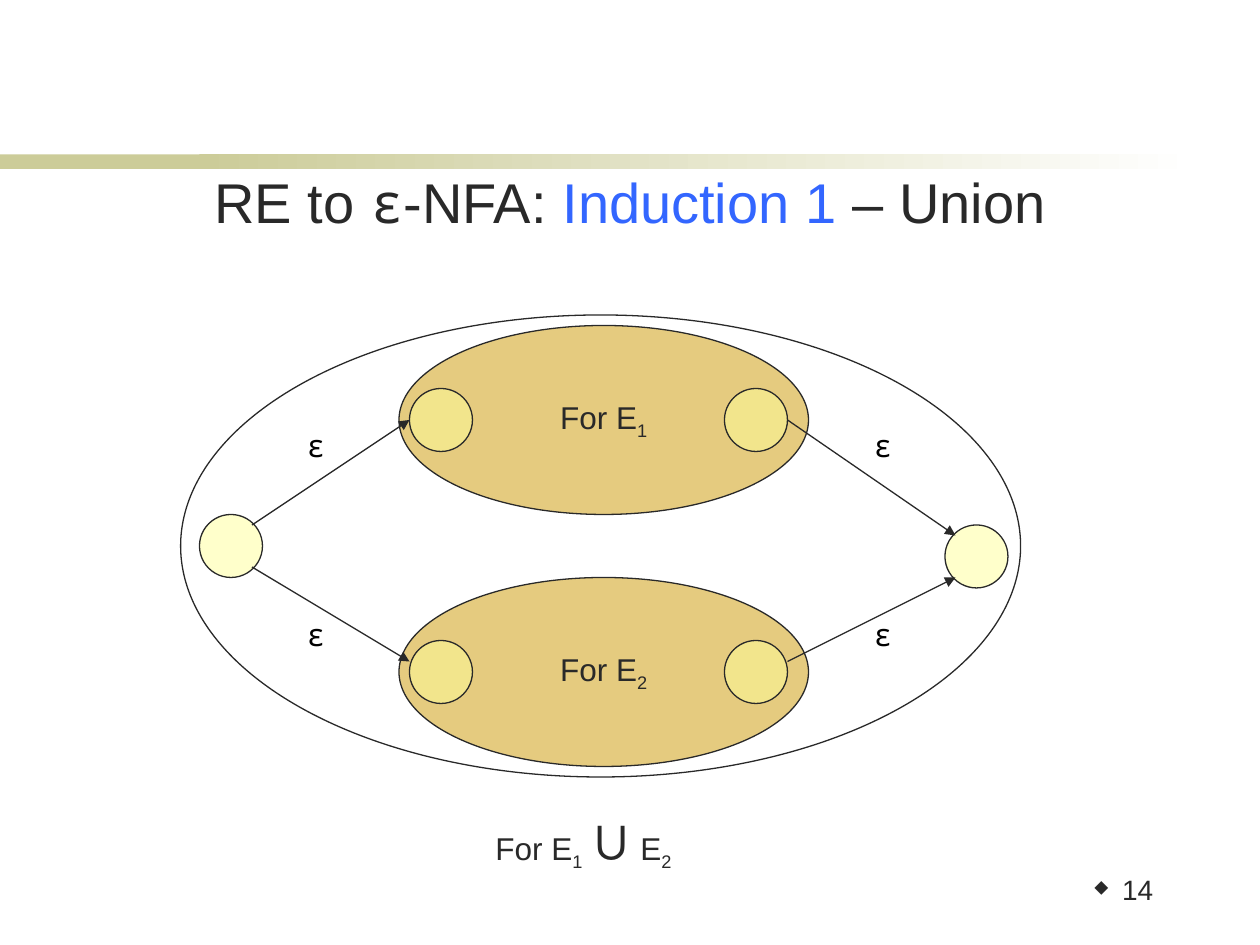
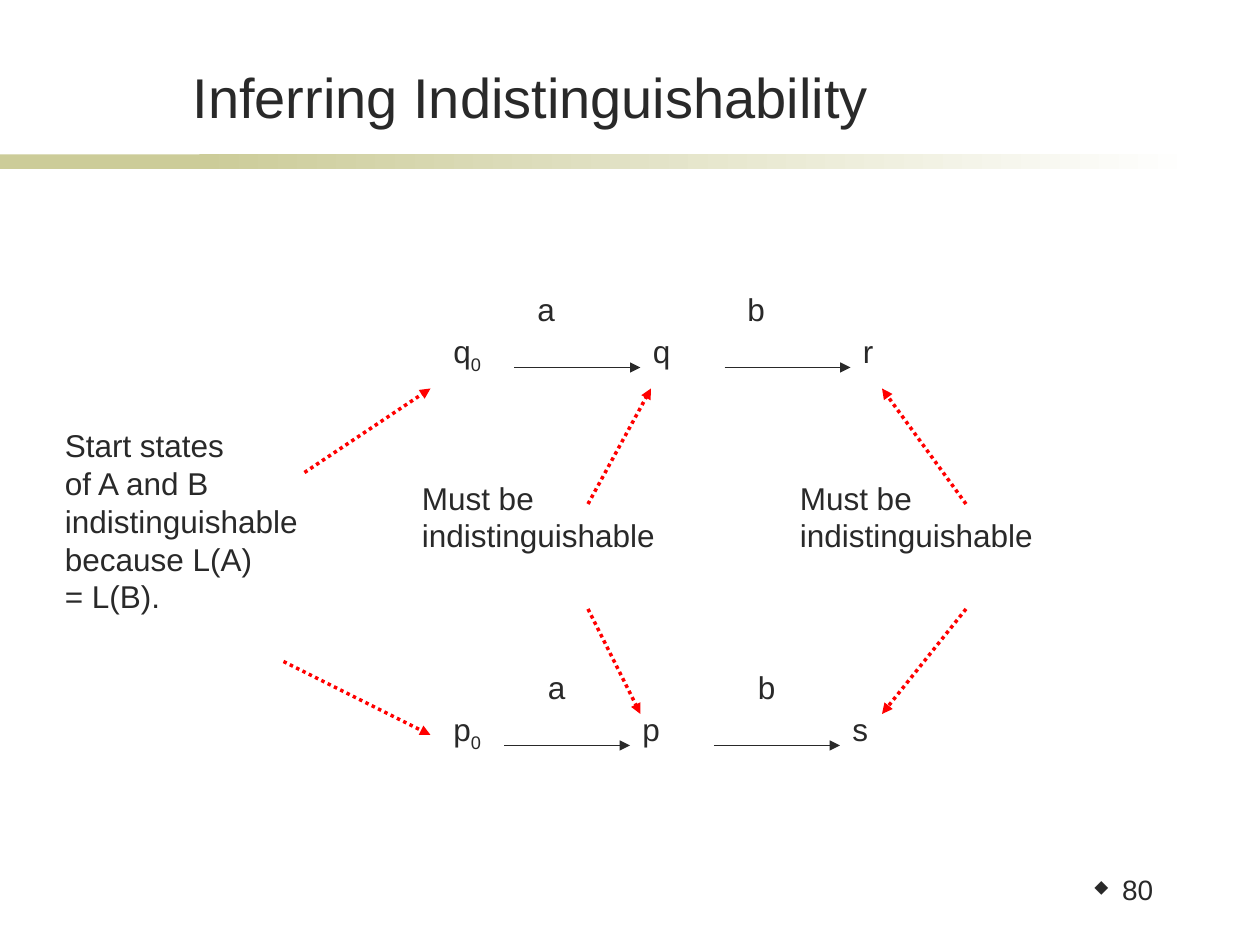
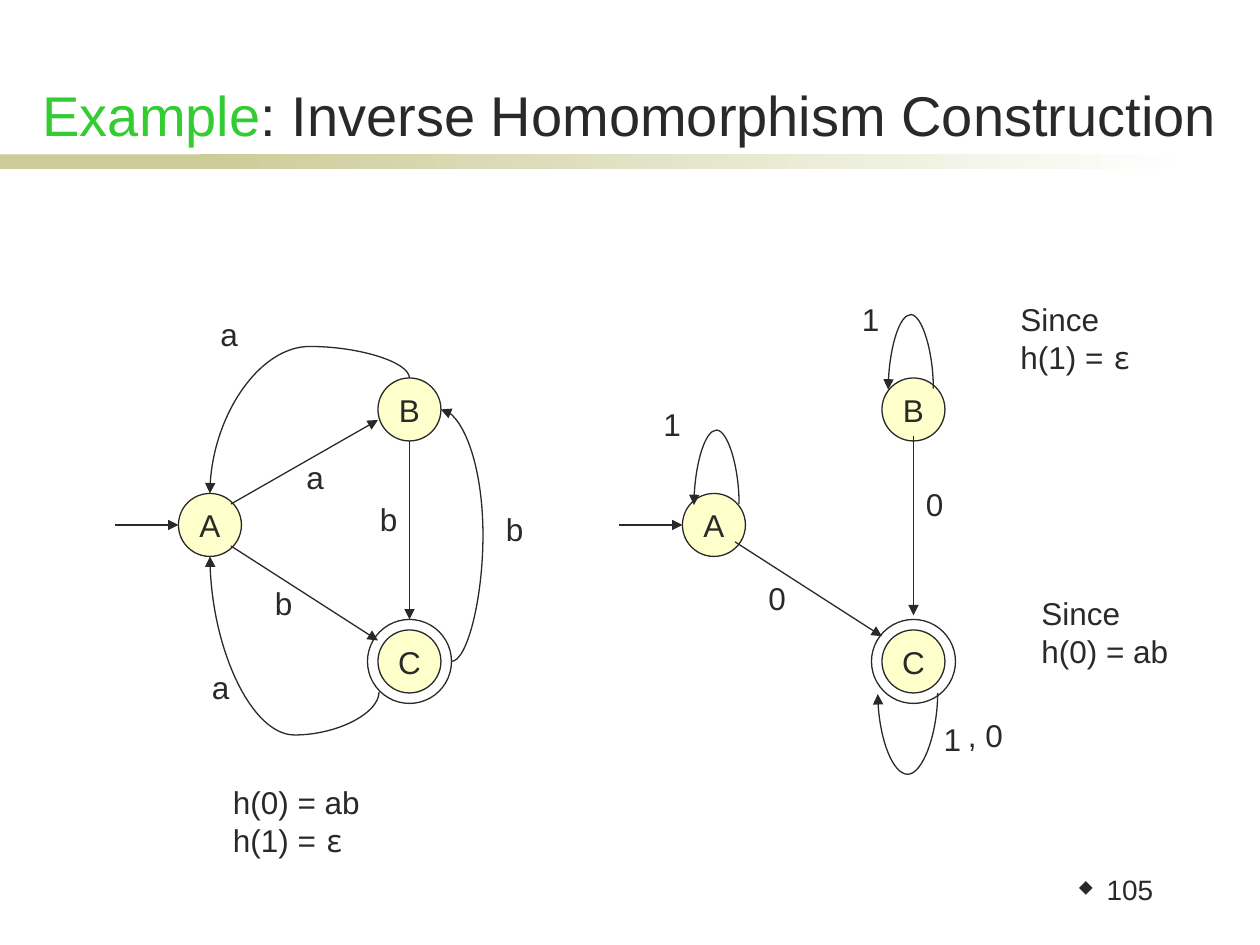
from dataclasses import dataclass

from lxml import etree
from pptx import Presentation
from pptx import util as u
from pptx.dml import color as dml_color
from pptx.enum import dml, shapes, text
from pptx.oxml import ns

# Shared scale, colours and fonts: 120 px to the inch
PX = 7620
INK, BLUE, GREEN, RED, BLACK = "292929", "3366FF", "33CC33", "FF0000", "000000"
OLIVE, WHITE, STATE_FILL, MACHINE_FILL = "CCCC99", "FFFFFF", "FFFF99", "CC9900"
SANS, MONO = "Arial", "Noto Sans Mono"
STATE, RING = 60, 80
Point = tuple[int, int]


@dataclass
class Run:
    text: str
    size: int = 18
    color: str = INK
    font: str = SANS
    sub: bool = False


Line = list[Run]


@dataclass
class Label:
    x: int
    y: int
    lines: list[Line]
    w: int = 46
    h: int = 60


@dataclass
class Oval:
    x: int
    y: int
    w: int
    h: int
    fill: str = ""
    runs: tuple[Run, ...] = ()


@dataclass
class Arrow:
    start: Point
    end: Point
    dotted: bool = False


@dataclass
class Arc:
    """Curved arrow bulging by reach along an axis turned by 0, 90 or 270 degrees."""
    start: Point
    end: Point
    reach: int
    turn: int = 270


# Helpers
def px(*lengths: float) -> list[u.Emu]:
    return [u.Emu(round(n * PX)) for n in lengths]


def rgb(code: str) -> dml_color.RGBColor:
    return dml_color.RGBColor.from_string(code)


def sub(parent, tag: str, **attrs: str):
    return etree.SubElement(parent, ns.qn(tag), attrs)


def set_all(target, values: dict) -> None:
    for name, value in values.items():
        setattr(target, name, value)


def plain(words: str) -> Line:
    return [Run(words)]


def epsilon(color: str = INK, size: int = 18) -> Run:
    return Run("ε", size, color, MONO)


def add_runs(paragraph, runs) -> None:
    for part in runs:
        run = paragraph.add_run()
        run.text = part.text
        set_all(run.font, {"size": u.Pt(part.size), "name": part.font})
        run.font.color.rgb = rgb(part.color)
        if part.sub:
            run.font._element.set("baseline", "-25000")


# Drawing
def draw_label(slide, label: Label) -> None:
    box = slide.shapes.add_textbox(*px(label.x, label.y, label.w, label.h))
    frame = box.text_frame
    set_all(frame, {"word_wrap": False,
                    "auto_size": text.MSO_AUTO_SIZE.SHAPE_TO_FIT_TEXT})
    for i, line in enumerate(label.lines):
        add_runs(frame.add_paragraph() if i else frame.paragraphs[0], line)


def draw_oval(slide, oval: Oval) -> None:
    shape = slide.shapes.add_shape(shapes.MSO_SHAPE.OVAL,
                                   *px(oval.x, oval.y, oval.w, oval.h))
    shape.shadow.inherit = False
    if oval.fill:
        shape.fill.solid()
        shape.fill.fore_color.rgb = rgb(oval.fill)
        tint = shape._element.spPr.find(".//" + ns.qn("a:srgbClr"))
        sub(tint, "a:alpha", val="50000")
    else:
        shape.fill.background()
    shape.line.color.rgb = rgb(INK)
    shape.line.width = u.Pt(0.75)
    if oval.runs:
        set_all(shape.text_frame, {"word_wrap": False,
                                   "vertical_anchor": text.MSO_ANCHOR.MIDDLE})
        paragraph = shape.text_frame.paragraphs[0]
        paragraph.alignment = text.PP_ALIGN.CENTER
        add_runs(paragraph, oval.runs)


def style_connector(connector, dotted: bool = False) -> None:
    connector.line.color.rgb = rgb(RED if dotted else INK)
    connector.line.width = u.Pt(2 if dotted else 0.75)
    if dotted:
        connector.line.dash_style = dml.MSO_LINE.ROUND_DOT
    sub(connector.line._get_or_add_ln(), "a:tailEnd", type="triangle")
    sub(connector._element.spPr, "a:effectLst")


def draw_arrow(slide, arrow: Arrow) -> None:
    connector = slide.shapes.add_connector(shapes.MSO_CONNECTOR.STRAIGHT,
                                           *px(*arrow.start, *arrow.end))
    style_connector(connector, arrow.dotted)


def draw_arc(slide, arc: Arc) -> None:
    (x1, y1), (x2, y2) = arc.start, arc.end
    dx, dy = x2 - x1, y2 - y1
    along, across = {0: (dx, dy), 90: (dy, -dx), 270: (-dy, dx)}[arc.turn]
    cx, cy = (x1 + x2) / 2, (y1 + y2) / 2
    connector = slide.shapes.add_connector(
        shapes.MSO_CONNECTOR.CURVE,
        *px(cx - along / 2, cy - across / 2, cx + along / 2, cy + across / 2))
    props = connector._element.spPr
    if arc.turn:
        props.find(ns.qn("a:xfrm")).set("rot", str(arc.turn * 60000))
    bend = round(arc.reach / along * 100000)
    sub(props.find(".//" + ns.qn("a:avLst")), "a:gd", name="adj1", fmla=f"val {bend}")
    style_connector(connector)


DRAW = {Label: draw_label, Oval: draw_oval, Arrow: draw_arrow, Arc: draw_arc}


def draw(slide, parts: list) -> None:
    for part in parts:
        DRAW[type(part)](slide, part)


# Slide frame: band, page number, title
def draw_band(slide) -> None:
    for x, width, fades in ((0, 280, False), (190, 950, True)):
        band = slide.shapes.add_shape(shapes.MSO_SHAPE.RECTANGLE, *px(x, 147, width, 14))
        band.shadow.inherit = False
        band.line.fill.background()
        if fades:
            band.fill.gradient()
            band.fill.gradient_angle = 0
            for stop, tone, place in zip(band.fill.gradient_stops, (OLIVE, WHITE), (0, 1)):
                stop.color.rgb = rgb(tone)
                stop.position = place
        else:
            band.fill.solid()
            band.fill.fore_color.rgb = rgb(OLIVE)


def draw_number(slide, number: int) -> None:
    frame = slide.shapes.add_textbox(*px(988, 824, 122, 60)).text_frame
    set_all(frame, {"word_wrap": True, "margin_top": px(11)[0]})
    paragraph = frame.paragraphs[0]
    set_all(paragraph, {"alignment": text.PP_ALIGN.RIGHT, "line_spacing": 0.9})
    props = paragraph._p.get_or_add_pPr()
    props.set("marL", "210000")
    props.set("indent", "-210000")
    sub(sub(props, "a:buClr"), "a:srgbClr", val=INK)
    sub(props, "a:buSzPct", val="60000")
    # The letter u is a diamond in this symbol font
    sub(props, "a:buFont", typeface="Wingdings", pitchFamily="2", charset="2")
    sub(props, "a:buChar", char="u")
    add_runs(paragraph, [Run(str(number), 16)])


def draw_title(slide, place: tuple[int, int, int, int], runs: Line) -> None:
    frame = slide.shapes.add_textbox(*px(*place)).text_frame
    set_all(frame, {"word_wrap": True, "vertical_anchor": text.MSO_ANCHOR.BOTTOM})
    frame.paragraphs[0].alignment = text.PP_ALIGN.CENTER
    add_runs(frame.paragraphs[0], runs)


def new_slide(deck, number: int, place: tuple[int, int, int, int], title: Line):
    slide = deck.slides.add_slide(deck.slide_layouts[6])
    draw_band(slide)
    draw_number(slide, number)
    draw_title(slide, place, title)
    return slide


# Slide contents
def state(x: int, y: int, name: str = "") -> Oval:
    return Oval(x, y, STATE, STATE, STATE_FILL, (Run(name),) if name else ())


def union_slide(deck) -> None:
    slide = new_slide(deck, 14, (0, 79, 1200, 150), [
        Run("RE to ", 32), epsilon(size=32), Run("-NFA: ", 32),
        Run("Induction 1", 32, BLUE), Run(" – Union", 32)])
    for index, top in (("1", 310), ("2", 550)):
        draw(slide, [Oval(380, top, 390, 180, MACHINE_FILL,
                          (Run("For E"), Run(index, sub=True))),
                     state(690, top + 60), state(390, top + 60)])
    draw(slide, [
        Oval(172, 300, 800, 440),
        Label(460, 760, [[Run("For E"), Run("1", sub=True), Run(" "), Run("∪", 32),
                          Run(" E"), Run("2", sub=True)]], 234, 75),
        state(190, 490), state(900, 500),
        Arrow((240, 500), (390, 400)), Arrow((240, 540), (390, 630)),
        Arrow((750, 400), (910, 510)), Arrow((750, 630), (910, 550))])
    draw(slide, [Label(x, y, [[epsilon(BLACK)]]) for x in (280, 820) for y in (400, 580)])


def indistinguishability_slide(deck) -> None:
    slide = new_slide(deck, 80, (137, 54, 737, 75),
                      [Run("Inferring Indistinguishability", 32)])
    # Each row: start state, then two steps of equal length
    for top, start, names, first, first_input in (
            (310, "q", "qr", 610, 500), (670, "p", "ps", 600, 510)):
        draw(slide, [Label(420, top, [[Run(start), Run("0", sub=True)]], 61)])
        for step, (name, symbol) in enumerate(zip(names, "ab")):
            x = first + 200 * step
            draw(slide, [Label(x, top, [plain(name)]),
                         Label(first_input + 200 * step, top - 40, [plain(symbol)]),
                         Arrow((x - 120, top + 40), (x, top + 40))])
    reason = ("Start states", "of A and B", "indistinguishable", "because L(A)", "= L(B).")
    draw(slide, [Label(50, 400, [plain(line) for line in reason], 317, 252),
                 Arrow((290, 450), (410, 370), True),
                 Arrow((270, 630), (410, 700), True)])
    for x, tail, upper, lower in ((390, 560, 620, 610), (750, 920, 840, 840)):
        draw(slide, [Label(x, 450, [plain("Must be"), plain("indistinguishable")], 317, 108),
                     Arrow((tail, 580), (lower, 680), True),
                     Arrow((tail, 480), (upper, 370), True)])


def homomorphism_slide(deck) -> None:
    slide = new_slide(deck, 105, (0, 74, 1200, 73), [
        Run("Example", 32, GREEN), Run(": Inverse Homomorphism Construction", 32)])
    # Both automata have the same states
    for shift in (0, 480):
        draw(slide, [state(170 + shift, 470, "A"), state(360 + shift, 600, "C"),
                     state(360 + shift, 360, "B"), Oval(350 + shift, 590, RING, RING),
                     Arrow((110 + shift, 500), (170 + shift, 500))])
    # Transitions of the first automaton, then of the second
    draw(slide, [
        Arrow((220, 480), (360, 400)), Arrow((220, 520), (360, 610)),
        Arrow((390, 420), (390, 590)),
        Arc((430, 630), (420, 390), 30, 0),
        Arc((390, 360), (200, 470), 30), Arc((361, 659), (200, 530), -41),
        Arc((704, 480), (661, 481), 71), Arc((889, 370), (846, 371), 71),
        Arc((893, 660), (836, 661), 78, 90),
        Arrow((700, 516), (840, 606)), Arrow((870, 415), (870, 586))])
    inputs = {"a": [(198, 294), (280, 430), (190, 630)],
              "b": [(350, 470), (470, 480), (250, 550)],
              "1": [(620, 380), (887, 680), (809, 280)],
              "0": [(720, 546), (870, 456)]}
    for symbol, places in inputs.items():
        draw(slide, [Label(x, y, [plain(symbol)]) for x, y in places])
    h_of_0, h_of_1 = plain("h(0) = ab"), [Run("h(1) = "), epsilon()]
    draw(slide, [Label(910, 676, [plain(", 0")], 71),
                 Label(210, 740, [h_of_0, h_of_1], 197, 108),
                 Label(960, 280, [plain("Since"), h_of_1], 174, 108),
                 Label(980, 560, [plain("Since"), h_of_0], 197, 108)])


def main() -> None:
    deck = Presentation()
    deck.slide_width, deck.slide_height = px(1200, 900)
    union_slide(deck)
    indistinguishability_slide(deck)
    homomorphism_slide(deck)
    deck.save("out.pptx")


if __name__ == "__main__":
    main()
